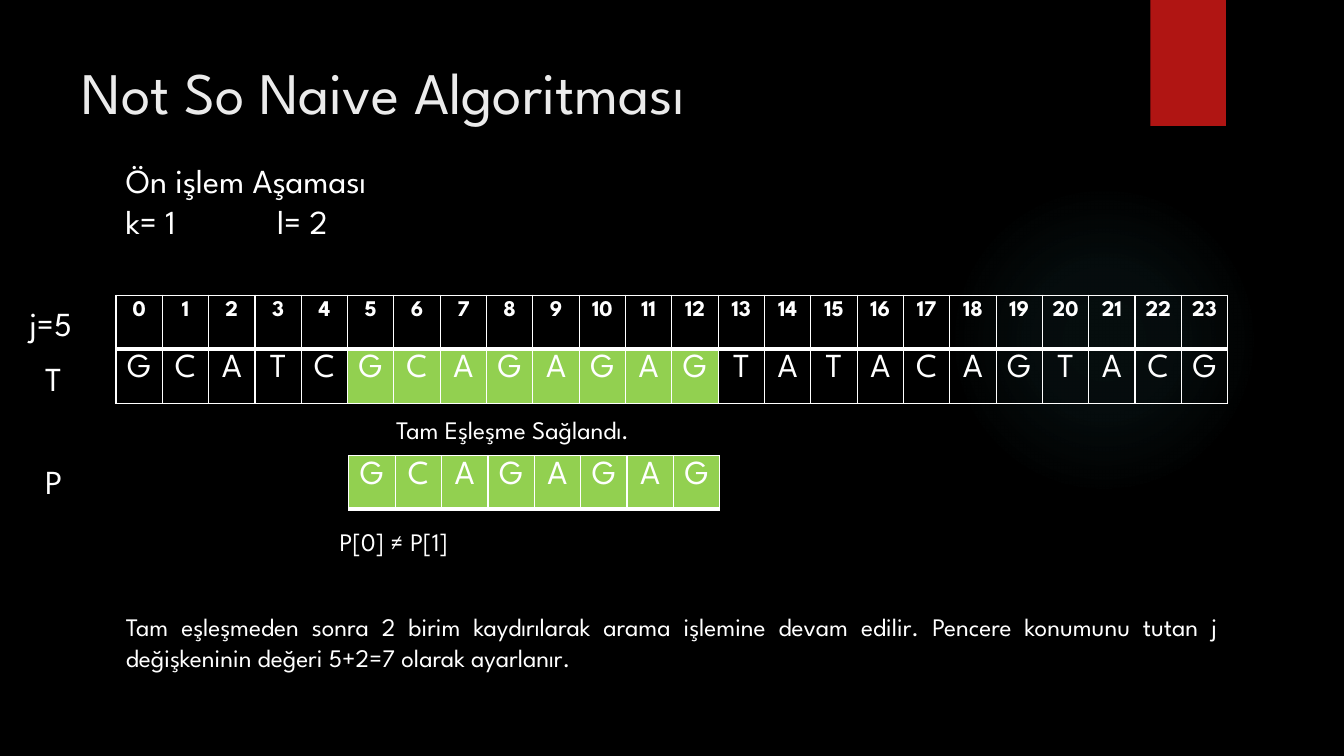
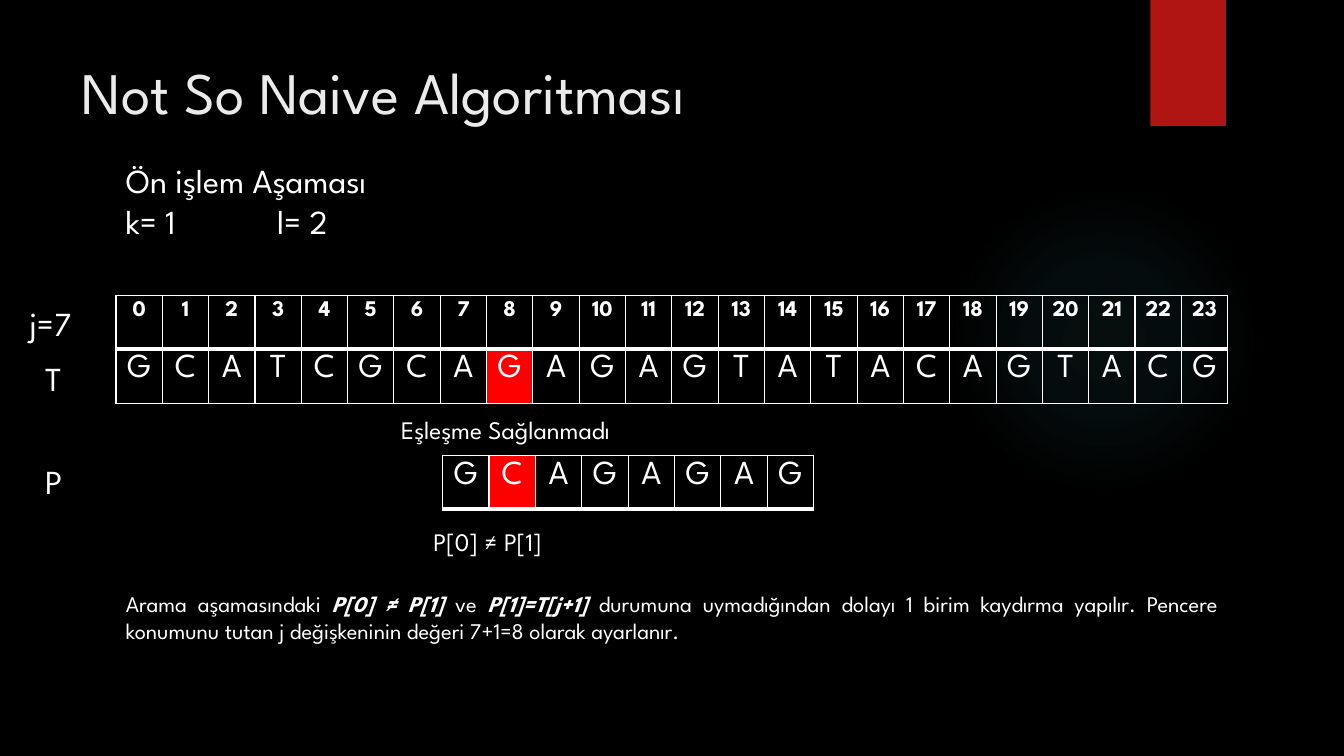
from pptx import Presentation
from pptx.dml.color import RGBColor as RGB
from pptx.enum.shapes import MSO_SHAPE as Shape
from pptx.enum.text import MSO_ANCHOR as Anchor, MSO_AUTO_SIZE as Fit, PP_ALIGN as Align
from pptx.oxml import parse_xml
from pptx.oxml.ns import nsdecls, qn
from pptx.util import Inches, Pt

HUES = {
    "back": "000000",
    "text": "FFFFFF",
    "title": "EBEBEB",
    "band": "B01513",
    "glow": "50B9C1",
    "match": "92D050",
    "miss": "FF0000",
}
FONT = "League Spartan"
LEFT, WIDTH = 1.15, 11.03
CELL = 0.46
TEXT = "GCATCGCAGAGAGTATACAGTACG"
WORD = "GCAGAGAG"
GLOW = ((0, 7), (36, 6), (69, 0))


def hue(name):
    return RGB.from_string(HUES[name])


def add_run(par, text, size, color="text", bold=False, slant=False):
    run = par.add_run()
    run.text = text
    font = run.font
    font.name, font.size = FONT, Pt(size)
    font.bold, font.italic = bold, slant
    font.color.rgb = hue(color)


def add_text(slide, spot, lines, size, wrap=False, align=Align.LEFT):
    box = slide.shapes.add_textbox(*map(Inches, spot))
    frame = box.text_frame
    frame.word_wrap = wrap
    frame.auto_size = Fit.SHAPE_TO_FIT_TEXT
    for i, runs in enumerate(lines):
        par = frame.paragraphs[0] if i == 0 else frame.add_paragraph()
        par.alignment = align
        for text, strong in runs:
            add_run(par, text, size, bold=strong, slant=strong)
    return frame


def add_label(slide, spot, text, size=24):
    add_text(slide, spot, [[(text, False)]], size)


def set_tab(par, pos):
    par._p.get_or_add_pPr().append(parse_xml(
        f'<a:tabLst {nsdecls("a")}><a:tab pos="{Inches(pos)}" algn="l"/></a:tabLst>'))


def set_edges(cell, top, bottom):
    props = cell._tc.get_or_add_tcPr()
    for side, width in (("L", 1), ("R", 1), ("T", top), ("B", bottom)):
        props.append(parse_xml(
            f'<a:ln{side} {nsdecls("a")} w="{Pt(width)}"><a:solidFill>'
            f'<a:srgbClr val="{HUES["text"]}"/></a:solidFill></a:ln{side}>'))


def fill_cell(cell, text, size, bold, color):
    par = cell.text_frame.paragraphs[0]
    par.alignment = Align.CENTER
    add_run(par, text, size, bold=bold)
    if color:
        cell.fill.solid()
        cell.fill.fore_color.rgb = hue(color)
    else:
        cell.fill.background()


def add_grid(slide, spot, rows, edges, hits, color):
    count = len(rows[0])
    table = slide.shapes.add_table(len(rows), count, *map(Inches, spot)).table
    table.first_row = table.horz_banding = False
    for r, row in enumerate(rows):
        head = row[0].isdigit()
        for c, text in enumerate(row):
            cell = table.cell(r, c)
            set_edges(cell, edges[r], edges[r + 1])
            mark = color if c in hits and not head else None
            fill_cell(cell, text, 16 if head else 24, head, mark)


def add_form(slide, kind, spot, color):
    form = slide.shapes.add_shape(kind, *map(Inches, spot))
    form.shadow.inherit = False
    form.line.fill.background()
    form.fill.solid()
    form.fill.fore_color.rgb = hue(color)
    return form


def set_glow(form):
    stops = "".join(
        f'<a:gs pos="{pos * 1000}"><a:srgbClr val="{HUES["glow"]}">'
        f'<a:alpha val="{alpha * 1000}"/></a:srgbClr></a:gs>'
        for pos, alpha in GLOW)
    grad = parse_xml(
        f'<a:gradFill {nsdecls("a")}><a:gsLst>{stops}</a:gsLst><a:path path="circle">'
        '<a:fillToRect l="50000" t="50000" r="50000" b="50000"/></a:path></a:gradFill>')
    props = form.element.spPr
    props.replace(props.find(qn("a:solidFill")), grad)


def add_decor(slide):
    glow = add_form(slide, Shape.OVAL, (9.41, 1.83, 3.08, 3.08), "glow")
    set_glow(glow)
    band = add_form(slide, Shape.RECTANGLE, (11.41, 0, 0.75, 1.25), "band")
    for form in (glow, band):
        slide.slide_layout.shapes.element.append(form.element)


def add_title(slide, text):
    title = slide.shapes.title
    title.left, title.top, title.width, title.height = map(Inches, (0.71, 0.5, 10.29, 1.53))
    frame = title.text_frame
    frame.vertical_anchor = Anchor.TOP
    frame.auto_size = Fit.NONE
    par = frame.paragraphs[0]
    par.alignment = Align.LEFT
    add_run(par, text, 42, "title")


def add_step(slide, j, hits, color, left, state, note, size, runs):
    add_title(slide, "Not So Naive Algoritması")
    intro = add_text(slide, (LEFT, 1.54, 3.13, 0.91),
                     [[("Ön işlem Aşaması", False)], [("k= 1\tl= 2", False)]], 24)
    set_tab(intro.paragraphs[1], 1.5)
    marks = [str(i) for i in range(len(TEXT))]
    add_grid(slide, (LEFT, 2.93, WIDTH, 1.07), [marks, TEXT], (1, 3, 1), hits, color)
    add_grid(slide, (left, 4.52, len(WORD) * CELL, 0.53), [WORD], (1, 3),
             [i - j for i in hits], color)
    add_label(slide, (0.19, 2.96, 0.66, 0.5), f"j={j}")
    add_label(slide, (0.35, 3.5, 0.35, 0.5), "T")
    add_label(slide, (0.35, 4.52, 0.4, 0.5), "P")
    add_label(slide, (left - 0.19, 5.17, 1.42, 0.4), "P[0] ≠ P[1]", 18)
    add_label(slide, *state, 18)
    add_text(slide, note, [runs], size, True, Align.JUSTIFY)


def main():
    prs = Presentation()
    prs.slide_width, prs.slide_height = Inches(13.33), Inches(7.5)
    back = prs.slide_master.background.fill
    back.solid()
    back.fore_color.rgb = hue("back")
    layout = prs.slide_layouts[5]
    first, second = [prs.slides.add_slide(layout) for _ in range(2)]
    add_decor(first)
    add_step(first, 5, range(5, 13), "match", 3.46,
             ((3.83, 4.06, 2.95, 0.4), "Tam Eşleşme Sağlandı."),
             (LEFT, 6.02, WIDTH, 0.71), 18,
             [("Tam eşleşmeden sonra 2 birim kaydırılarak arama işlemine devam edilir. "
               "Pencere konumunu tutan j değişkeninin değeri 5+2=7 olarak ayarlanır.", False)])
    add_step(second, 7, [8], "miss", 4.39,
             ((3.88, 4.06, 2.7, 0.4), "Eşleşme Sağlanmadı"),
             (LEFT, 5.81, WIDTH, 0.64), 16,
             [("Arama aşamasındaki ", False), ("P[0] ≠ P[1] ", True), ("ve ", False),
              ("P[1]=T[j+1] ", True),
              ("durumuna uymadığından dolayı 1 birim kaydırma yapılır. Pencere konumunu "
               "tutan j değişkeninin değeri 7+1=8 olarak ayarlanır.", False)])
    prs.save("out.pptx")


if __name__ == "__main__":
    main()
